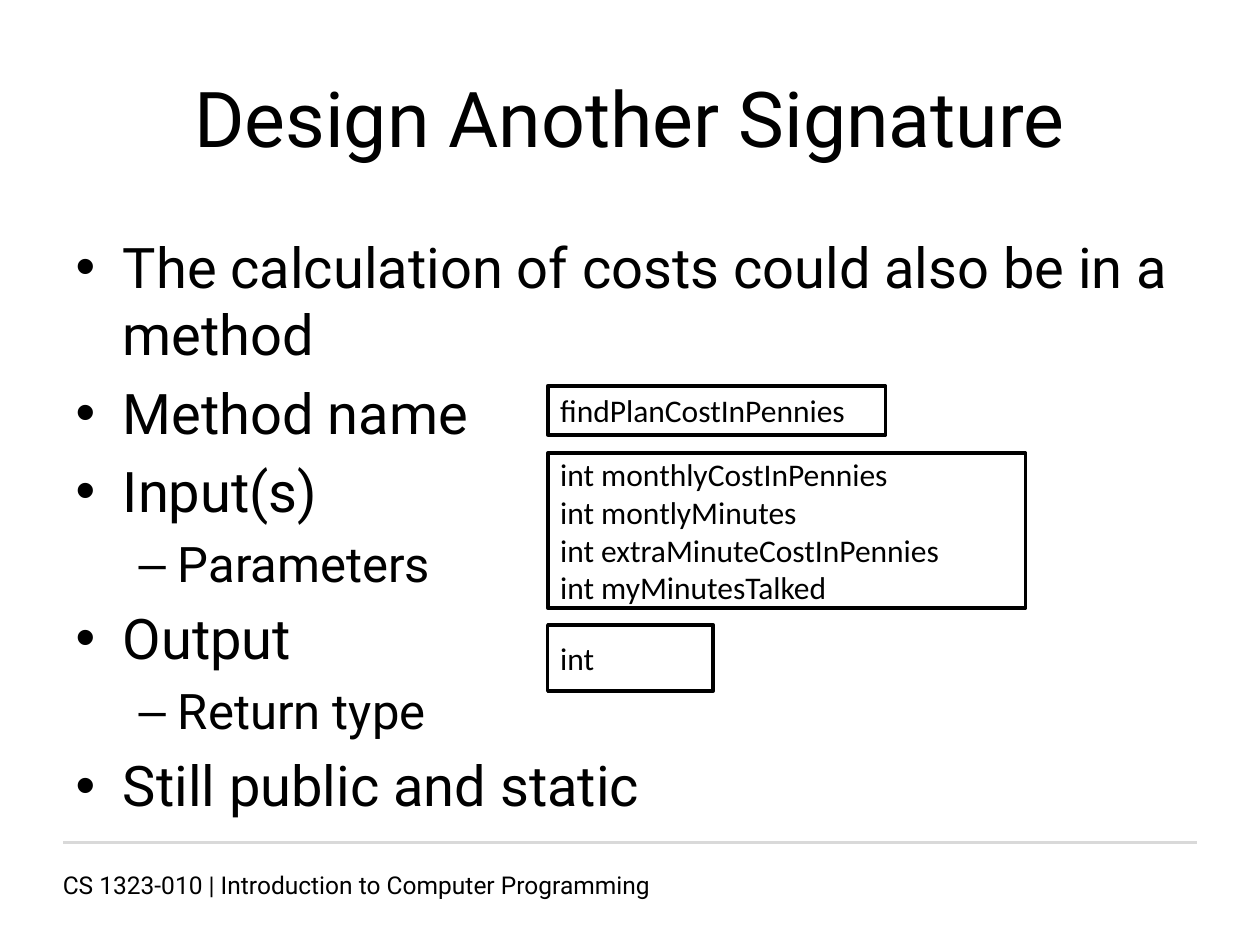
from lxml.etree import SubElement
from pptx import Presentation
from pptx.dml.color import RGBColor
from pptx.enum.shapes import MSO_CONNECTOR, MSO_SHAPE
from pptx.enum.text import MSO_ANCHOR, MSO_AUTO_SIZE, PP_ALIGN
from pptx.oxml.ns import qn
from pptx.util import Pt

HEX = {"ink": "000000", "paper": "FFFFFF", "rule": "D9D9D9"}
ITEMS = [
    (0, "The calculation of costs could also be in a method"),
    (0, "Method name"),
    (0, "Input(s)"),
    (1, "Parameters"),
    (0, "Output"),
    (1, "Return type"),
    (0, "Still public and static"),
]
# Answer boxes: top, width, height, lines
NOTES = [
    (220.5, 193, 28, ["findPlanCostInPennies"]),
    (259, 273, 88.5, ["int monthlyCostInPennies", "int montlyMinutes",
                      "int extraMinuteCostInPennies", "int myMinutesTalked"]),
    (357, 94.5, 38, ["int"]),
]


def color(name):
    return RGBColor.from_string(HEX[name])


def style(para, size, face="Roboto"):
    for run in para.runs:
        run.font.size = Pt(size)
        run.font.name = face
        run.font.color.rgb = color("ink")


def place(shape, box):
    shape.left, shape.top, shape.width, shape.height = map(Pt, box)


def add_title(slide, box):
    title = slide.shapes.title
    place(title, box)
    title.text_frame.text = "Design Another Signature"
    style(title.text_frame.paragraphs[0], 44)


def add_list(slide, box):
    body = slide.placeholders[1]
    place(body, box)
    frame = body.text_frame
    frame.auto_size = MSO_AUTO_SIZE.NONE
    frame.margin_top = Pt(7)
    frame.text = "\n".join(text for _, text in ITEMS)
    for para, (level, _) in zip(frame.paragraphs, ITEMS):
        para.level = level
        style(para, 28 if level else 32)
    frame.paragraphs[0].space_before = Pt(0)


def add_note(slide, box, lines):
    note = slide.shapes.add_shape(MSO_SHAPE.RECTANGLE, *map(Pt, box))
    note.shadow.inherit = False
    note.fill.solid()
    note.fill.fore_color.rgb = color("paper")
    note.line.color.rgb = color("ink")
    note.line.width = Pt(2)
    frame = note.text_frame
    frame.word_wrap = True
    frame.vertical_anchor = MSO_ANCHOR.MIDDLE
    frame.text = "\n".join(lines)
    for para in frame.paragraphs:
        para.alignment = PP_ALIGN.LEFT
        style(para, 18, "Calibri")


def add_foot(slide, box):
    left, top, width, height = box
    # Rule above the course name
    rule = slide.shapes.add_connector(
        MSO_CONNECTOR.STRAIGHT, Pt(left), Pt(top), Pt(left + width), Pt(top))
    rule.line.color.rgb = color("rule")
    rule.line.width = Pt(2)
    SubElement(rule._element.spPr, qn("a:effectLst"))
    # Course name
    label = slide.shapes.add_textbox(
        Pt(left - 7.2), Pt(top + 8.5), Pt(width), Pt(height - 8.5))
    frame = label.text_frame
    frame.word_wrap = True
    frame.margin_top = Pt(7)
    frame.text = "CS 1323-010 | Introduction to Computer Programming"
    style(frame.paragraphs[0], 14)


def main():
    deck = Presentation()
    deck.slide_width, deck.slide_height = Pt(720), Pt(540)
    slide = deck.slides.add_slide(deck.slide_layouts[1])
    add_foot(slide, (36, 481.5, 648, 29))
    add_title(slide, (36, 21.6, 648, 90))
    add_list(slide, (36, 126, 648, 356.4))
    for top, width, height, lines in NOTES:
        add_note(slide, (313, top, width, height), lines)
    deck.save("out.pptx")


if __name__ == "__main__":
    main()
